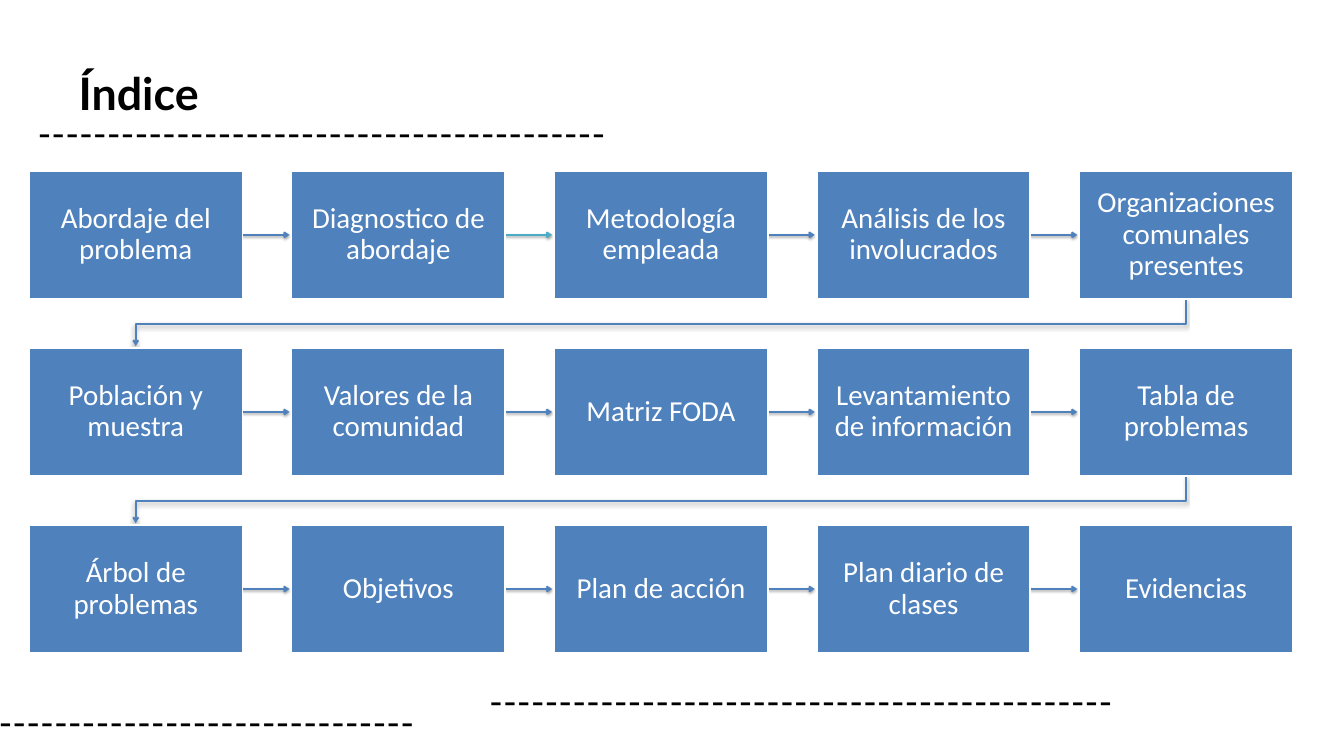
from lxml import etree
from pptx import Presentation
from pptx.dml.color import RGBColor
from pptx.enum.shapes import MSO_CONNECTOR, MSO_SHAPE
from pptx.enum.text import MSO_ANCHOR, MSO_AUTO_SIZE, PP_ALIGN
from pptx.oxml.ns import qn
from pptx.util import Inches, Pt

STRAIGHT = MSO_CONNECTOR.STRAIGHT
RECTANGLE = MSO_SHAPE.RECTANGLE
TOP, MIDDLE = MSO_ANCHOR.TOP, MSO_ANCHOR.MIDDLE
LEFT, CENTER = PP_ALIGN.LEFT, PP_ALIGN.CENTER
NO_AUTOFIT = MSO_AUTO_SIZE.NONE

COLORS = {"blue": "4F81BD", "cyan": "4BACC6", "white": "FFFFFF", "black": "000000"}
TITLE_FONT = {"name": "Lato", "size": Pt(48), "bold": True}
DASH_FONT = {"name": "Lato", "size": Pt(40), "bold": False}
STEP_FONT = {"name": "Calibri", "size": Pt(31), "bold": False}

STEPS = [
    ["Abordaje del problema", "Diagnostico de abordaje", "Metodología empleada",
     "Análisis de los involucrados", "Organizaciones comunales presentes"],
    ["Población y muestra", "Valores de la comunidad", "Matriz FODA",
     "Levantamiento de información", "Tabla de problemas"],
    ["Árbol de problemas", "Objetivos", "Plan de acción",
     "Plan diario de clases", "Evidencias"],
]
DASHED_RULES = [
    ((-0.58, 10.41, 11.33, 0.67), 30),
    ((6.72, 10.09, 13.92, 0.67), 45),
    ((0, 1.64, 12.67, 0.71), 41),
]
STEP_W, STEP_H = 3.18, 1.91
ARROW_LENGTH = 0.7
ELBOW_DROP = 0.37


def color(name):
    return RGBColor.from_string(COLORS[name])


def write(frame, text, font, color_name, anchor, align, spacing, insets):
    frame_format = {"word_wrap": True, "auto_size": NO_AUTOFIT, "vertical_anchor": anchor}
    for side, inset in zip(("left", "top", "right", "bottom"), insets):
        frame_format[f"margin_{side}"] = Inches(inset)
    for attribute, value in frame_format.items():
        setattr(frame, attribute, value)
    paragraph = frame.paragraphs[0]
    paragraph.alignment = align
    paragraph.line_spacing = spacing
    run = paragraph.add_run()
    run.text = text
    for attribute, value in font.items():
        setattr(run.font, attribute, value)
    run.font.color.rgb = color(color_name)


def style_arrow(arrow, color_name):
    arrow.line.color.rgb = color(color_name)
    arrow.line.width = Pt(2)
    properties = arrow._element.spPr
    etree.SubElement(properties.find(qn("a:ln")), qn("a:tailEnd"), type="arrow")
    effects = etree.SubElement(properties, qn("a:effectLst"))
    shadow = etree.SubElement(effects, qn("a:outerShdw"), blurRad=str(Pt(3.1)),
                              dist=str(Pt(1.6)), dir="5400000", rotWithShape="0")
    tint = etree.SubElement(shadow, qn("a:srgbClr"), val=COLORS["black"])
    etree.SubElement(tint, qn("a:alpha"), val="38000")


def add_next_arrow(slide, x, y, color_name):
    arrow = slide.shapes.add_connector(
        STRAIGHT, Inches(x), Inches(y), Inches(x + ARROW_LENGTH), Inches(y))
    style_arrow(arrow, color_name)


def add_row_arrow(slide, start_x, end_x, y):
    corners = [(start_x, y + ELBOW_DROP), (end_x, y + ELBOW_DROP), (end_x, y + ARROW_LENGTH)]
    builder = slide.shapes.build_freeform(Inches(start_x), Inches(y))
    builder.add_line_segments([(Inches(px), Inches(py)) for px, py in corners], close=False)
    arrow = builder.convert_to_shape()
    arrow.fill.background()
    style_arrow(arrow, "blue")


def add_step(slide, x, y, text):
    step = slide.shapes.add_shape(
        RECTANGLE, Inches(x), Inches(y), Inches(STEP_W), Inches(STEP_H))
    step.shadow.inherit = False
    step.fill.solid()
    step.fill.fore_color.rgb = color("blue")
    step.line.color.rgb = color("white")
    step.line.width = Pt(2)
    write(step.text_frame, text, STEP_FONT, "white", MIDDLE, CENTER, 0.9, [0.24] * 4)


def add_process(slide, box):
    left, top, width, height = box
    last_column, last_row = len(STEPS[0]) - 1, len(STEPS) - 1
    pitch_x = (width - STEP_W) / last_column
    pitch_y = (height - STEP_H) / last_row
    for row, labels in enumerate(STEPS):
        y = top + row * pitch_y
        for column, label in enumerate(labels):
            x = left + column * pitch_x
            if column < last_column:
                color_name = "cyan" if (row, column) == (0, 1) else "blue"
                add_next_arrow(slide, x + STEP_W, y + STEP_H / 2, color_name)
            elif row < last_row:
                add_row_arrow(slide, x + STEP_W / 2, left + STEP_W / 2, y + STEP_H)
            add_step(slide, x, y, label)


def add_title(slide, box):
    title = slide.shapes.title
    title.left, title.top, title.width, title.height = map(Inches, box)
    write(title.text_frame, "Índice", TITLE_FONT, "black", TOP, LEFT, Pt(97.2), [0] * 4)


def add_dashed_rule(slide, box, count):
    rule = slide.shapes.add_textbox(*map(Inches, box))
    write(rule.text_frame, "-" * count, DASH_FONT, "black", TOP, LEFT, Pt(48),
          [0.56, 0, 0, 0])


def main():
    presentation = Presentation()
    presentation.slide_width = Inches(20)
    presentation.slide_height = Inches(11.25)
    slide = presentation.slides.add_slide(presentation.slide_layouts[5])
    for box, count in DASHED_RULES:
        add_dashed_rule(slide, box, count)
    add_process(slide, (0.43, 2.54, 18.81, 7.18))
    add_title(slide, (1.17, 0.43, 14.89, 1.21))
    presentation.save("out.pptx")


if __name__ == "__main__":
    main()
